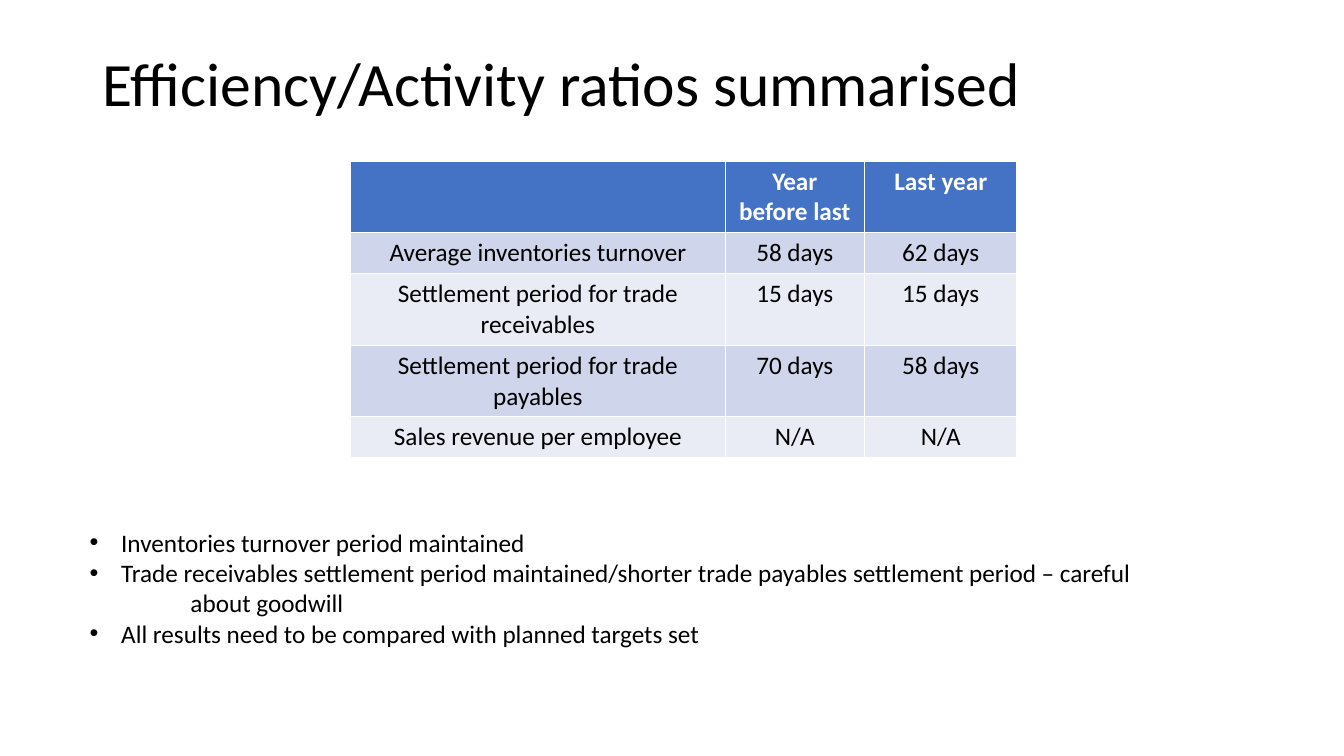
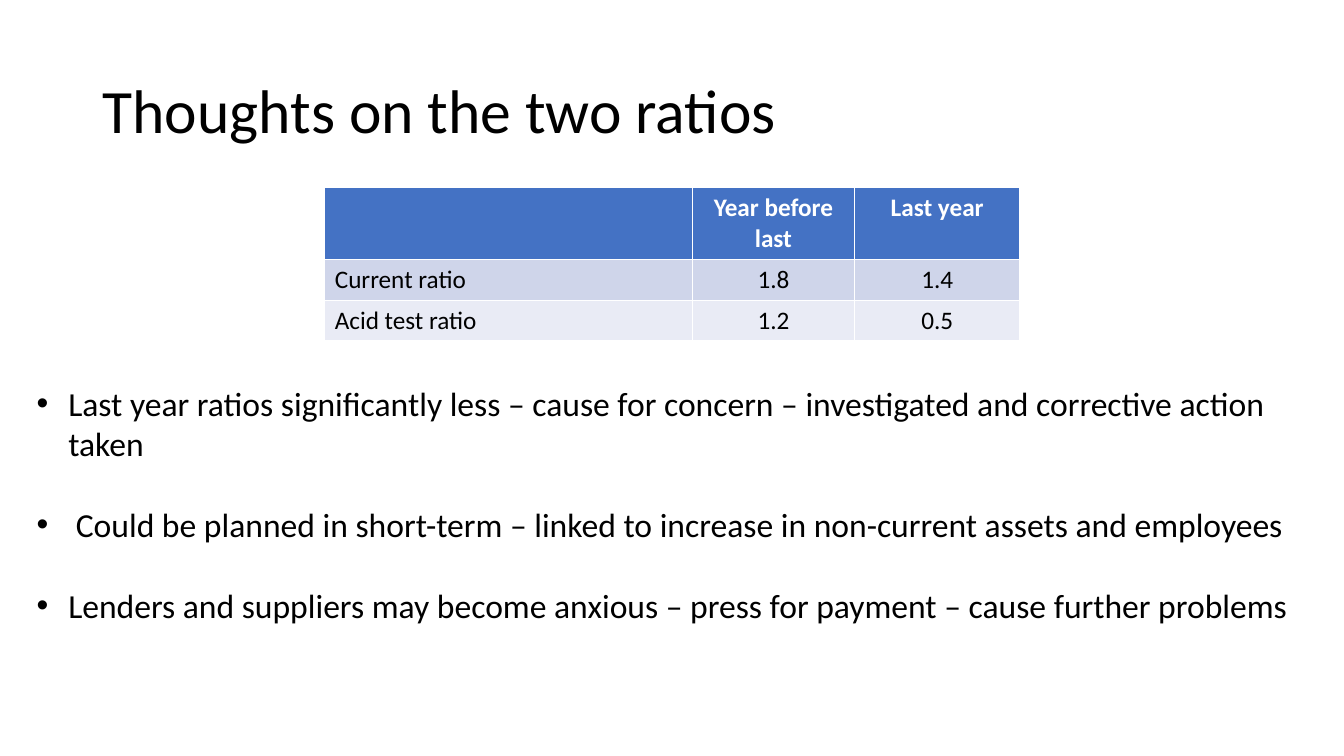
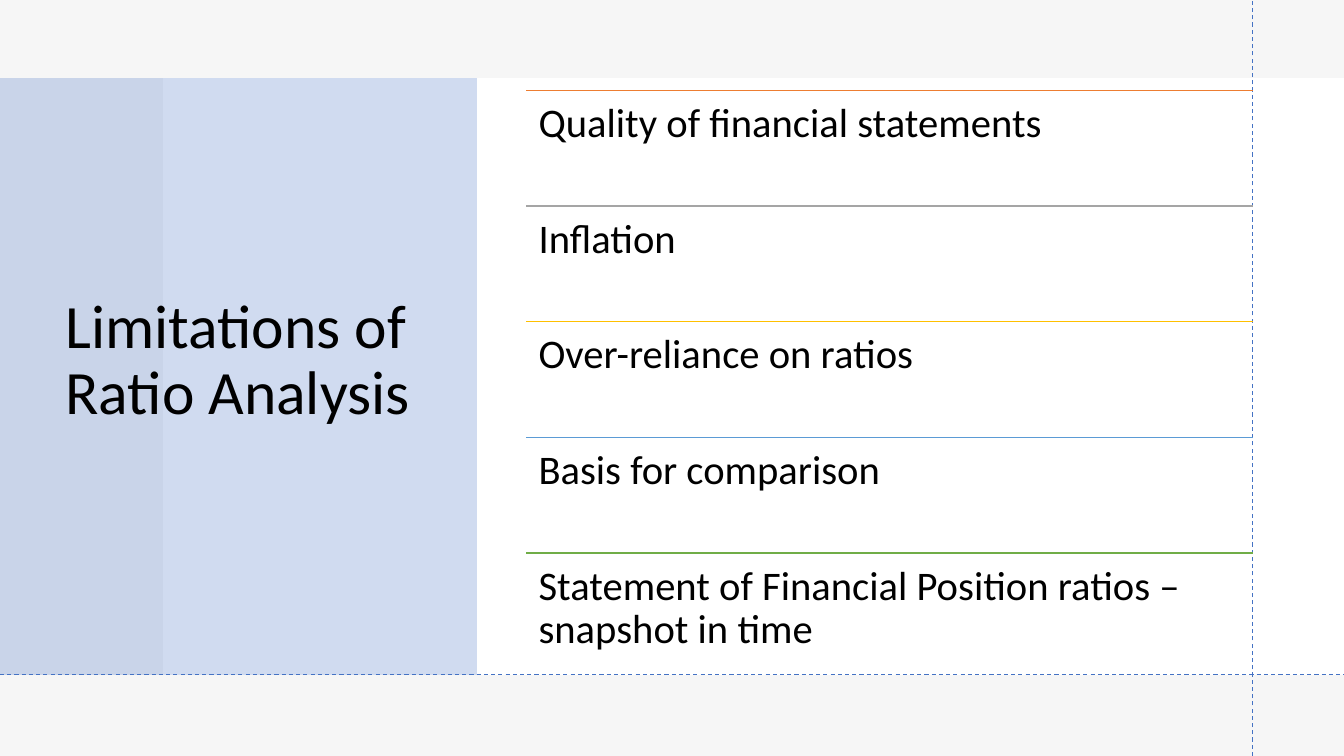
"""Build three slides on financial ratios: two tables with notes and a list of limitations."""
from lxml.etree import SubElement
from pptx import Presentation
from pptx.dml.color import RGBColor
from pptx.enum.dml import MSO_LINE
from pptx.enum.shapes import MSO_CONNECTOR, MSO_SHAPE
from pptx.enum.text import MSO_ANCHOR, MSO_AUTO_SIZE, PP_ALIGN
from pptx.oxml.ns import qn
from pptx.util import Pt

BLACK = RGBColor(0x00, 0x00, 0x00)
WHITE = RGBColor(0xFF, 0xFF, 0xFF)
PALE_GREY = RGBColor(0xF6, 0xF6, 0xF6)
BLUE = RGBColor(0x44, 0x72, 0xC4)
BAND_DARK = RGBColor(0xCF, 0xD5, 0xEA)
BAND_LIGHT = RGBColor(0xE9, 0xEB, 0xF5)
ORANGE = RGBColor(0xED, 0x7D, 0x31)
GREY = RGBColor(0xA5, 0xA5, 0xA5)
GOLD = RGBColor(0xFF, 0xC0, 0x00)
SKY = RGBColor(0x5B, 0x9B, 0xD5)
GREEN = RGBColor(0x70, 0xAD, 0x47)

FONT = "Calibri"
WIDTH, HEIGHT = 960, 540
TITLE_FORMAT = {"name": FONT, "size": Pt(44), "color": BLACK}
HEADER_FORMAT = {"name": FONT, "size": Pt(18), "color": WHITE, "bold": True}
CELL_FORMAT = {"name": FONT, "size": Pt(18), "color": BLACK, "bold": False}
ITEM_FORMAT = {"name": FONT, "size": Pt(29), "color": BLACK}
ONE_LINE, TWO_LINES = 29.2, 51.2
BULLET_INDENT = 22.5

TABLE_SLIDES = [
    {
        "title": "Efficiency/Activity ratios summarised",
        "title_box": (66, 29, 828, 65.5),
        "table_at": (250.5, 115),
        "columns": (267.5, 99.5, 109),
        "label_alignment": PP_ALIGN.CENTER,
        "rows": [
            (TWO_LINES, ("", "Year before last", "Last year")),
            (ONE_LINE, ("Average inventories turnover", "58 days", "62 days")),
            (TWO_LINES, ("Settlement period for trade receivables", "15 days", "15 days")),
            (TWO_LINES, ("Settlement period for trade payables", "70 days", "58 days")),
            (ONE_LINE, ("Sales revenue per employee", "N/A", "N/A")),
        ],
        "notes_box": (57, 373, 772, 94.5),
        "notes_size": 18,
        "notes_gap": 0,
        "notes": [
            ("Inventories turnover period maintained", BULLET_INDENT, True),
            ("Trade receivables settlement period maintained/shorter trade payables "
             "settlement period – careful", BULLET_INDENT, True),
            ("about goodwill", 72, False),
            ("All results need to be compared with planned targets set", BULLET_INDENT, True),
        ],
    },
    {
        "title": "Thoughts on the two ratios",
        "title_box": (66, 29, 828, 104.5),
        "table_at": (232, 134),
        "columns": (262.5, 116, 118),
        "label_alignment": PP_ALIGN.LEFT,
        "rows": [
            (TWO_LINES, ("", "Year before last", "Last year")),
            (ONE_LINE, ("Current ratio", "1.8", "1.4")),
            (ONE_LINE, ("Acid test ratio", "1.2", "0.5")),
        ],
        "notes_box": (19.2, 270, 941, 204),
        "notes_size": 24,
        "notes_gap": 29,
        "notes": [
            ("Last year ratios significantly less – cause for concern – investigated "
             "and corrective action taken", BULLET_INDENT, True),
            ("Could be planned in short-term – linked to increase in non-current assets "
             "and employees", BULLET_INDENT + 5.4, True),
            ("Lenders and suppliers may become anxious – press for payment – cause "
             "further problems", BULLET_INDENT, True),
        ],
    },
]

LIMITATIONS_TITLE = "Limitations of Ratio Analysis"
LIMITATIONS = [
    ("Quality of financial statements", ORANGE),
    ("Inflation", GREY),
    ("Over-reliance on ratios", GOLD),
    ("Basis for comparison", SKY),
    ("Statement of Financial Position ratios – snapshot in time", GREEN),
]
LIST_LEFT, LIST_TOP, LIST_RIGHT, LIST_PITCH = 376, 64.5, 895, 82.6
PANEL_TOP, PANEL_BOTTOM = 55.8, 482


def points(values):
    return [Pt(value) for value in values]


def apply_format(font, values):
    for name, value in values.items():
        if name == "color":
            font.color.rgb = value
        else:
            setattr(font, name, value)


def set_title(slide, text, box):
    title = slide.shapes.title
    title.left, title.top, title.width, title.height = points(box)
    frame = title.text_frame
    frame.text = text
    frame.auto_size = MSO_AUTO_SIZE.NONE
    frame.vertical_anchor = MSO_ANCHOR.MIDDLE
    paragraph = frame.paragraphs[0]
    paragraph.alignment = PP_ALIGN.LEFT
    paragraph.line_spacing = 0.9
    apply_format(paragraph.font, TITLE_FORMAT)
    return title


def add_text_frame(slide, box):
    frame = slide.shapes.add_textbox(*points(box)).text_frame
    frame.word_wrap = True
    frame.auto_size = MSO_AUTO_SIZE.NONE
    return frame


def add_ratio_table(slide, content):
    rows, columns = content["rows"], content["columns"]
    size = (sum(columns), sum(height for height, _ in rows))
    table = slide.shapes.add_table(
        len(rows), len(columns), *points(content["table_at"] + size)).table
    for column, width in zip(table.columns, columns):
        column.width = Pt(width)
    for row_index, (height, texts) in enumerate(rows):
        table.rows[row_index].height = Pt(height)
        is_header = row_index == 0
        fill = BLUE if is_header else (BAND_LIGHT, BAND_DARK)[row_index % 2]
        for column_index, text in enumerate(texts):
            cell = table.cell(row_index, column_index)
            cell.fill.solid()
            cell.fill.fore_color.rgb = fill
            cell.text = text
            paragraph = cell.text_frame.paragraphs[0]
            paragraph.alignment = PP_ALIGN.CENTER if column_index else content["label_alignment"]
            apply_format(paragraph.font, HEADER_FORMAT if is_header else CELL_FORMAT)


def add_notes(slide, content):
    frame = add_text_frame(slide, content["notes_box"])
    for index, (text, indent, has_bullet) in enumerate(content["notes"]):
        paragraph = frame.add_paragraph() if index else frame.paragraphs[0]
        paragraph.text = text
        properties = paragraph._p.get_or_add_pPr()
        properties.set("marL", str(Pt(indent)))
        if has_bullet:
            properties.set("indent", str(-Pt(indent)))
            SubElement(properties, qn("a:buFont"), typeface="Arial")
            SubElement(properties, qn("a:buChar"), char="•")
        if index:
            paragraph.space_before = Pt(content["notes_gap"])
        apply_format(paragraph.font,
                     {"name": FONT, "size": Pt(content["notes_size"]), "color": BLACK})


def add_panel(slide, box, color, opacity=100):
    panel = slide.shapes.add_shape(MSO_SHAPE.RECTANGLE, *points(box))
    panel.shadow.inherit = False
    panel.line.fill.background()
    panel.fill.solid()
    panel.fill.fore_color.rgb = color
    if opacity < 100:
        color_element = panel.fill._xPr.find(".//" + qn("a:srgbClr"))
        SubElement(color_element, qn("a:alpha"), val=str(opacity * 1000))


def add_line(slide, ends, color, width, dash=None):
    connector = slide.shapes.add_connector(MSO_CONNECTOR.STRAIGHT, *points(ends))
    connector.line.color.rgb = color
    connector.line.width = Pt(width)
    if dash:
        connector.line.dash_style = dash
    SubElement(connector._element.spPr, qn("a:effectLst"))


def add_limitations_slide(slide):
    slide.background.fill.solid()
    slide.background.fill.fore_color.rgb = PALE_GREY
    panel_height = PANEL_BOTTOM - PANEL_TOP
    add_panel(slide, (116.5, PANEL_TOP, WIDTH - 116.5, panel_height), WHITE)
    add_panel(slide, (0, PANEL_TOP, 340.6, panel_height), BLUE, opacity=25)
    title = set_title(slide, LIMITATIONS_TITLE, (39.6, 53.3, 284.4, 409.7))
    title.element.getparent().append(title.element)
    for ends in ((LIST_RIGHT, HEIGHT, LIST_RIGHT, 0), (0, PANEL_BOTTOM, WIDTH, PANEL_BOTTOM)):
        add_line(slide, ends, BLUE, 0.75, MSO_LINE.DASH)
    for index, (text, color) in enumerate(LIMITATIONS):
        top = LIST_TOP + index * LIST_PITCH
        add_line(slide, (LIST_LEFT, top, LIST_RIGHT, top), color, 1)
        frame = add_text_frame(slide, (LIST_LEFT, top, LIST_RIGHT - LIST_LEFT, LIST_PITCH))
        for side in ("left", "top", "right", "bottom"):
            setattr(frame, f"margin_{side}", Pt(8.7))
        paragraph = frame.paragraphs[0]
        paragraph.text = text
        paragraph.line_spacing = 0.9
        apply_format(paragraph.font, ITEM_FORMAT)


def main():
    presentation = Presentation()
    presentation.slide_width, presentation.slide_height = Pt(WIDTH), Pt(HEIGHT)
    title_only = presentation.slide_layouts[5]
    for content in TABLE_SLIDES:
        slide = presentation.slides.add_slide(title_only)
        set_title(slide, content["title"], content["title_box"])
        add_ratio_table(slide, content)
        add_notes(slide, content)
    add_limitations_slide(presentation.slides.add_slide(title_only))
    presentation.save("out.pptx")


if __name__ == "__main__":
    main()
